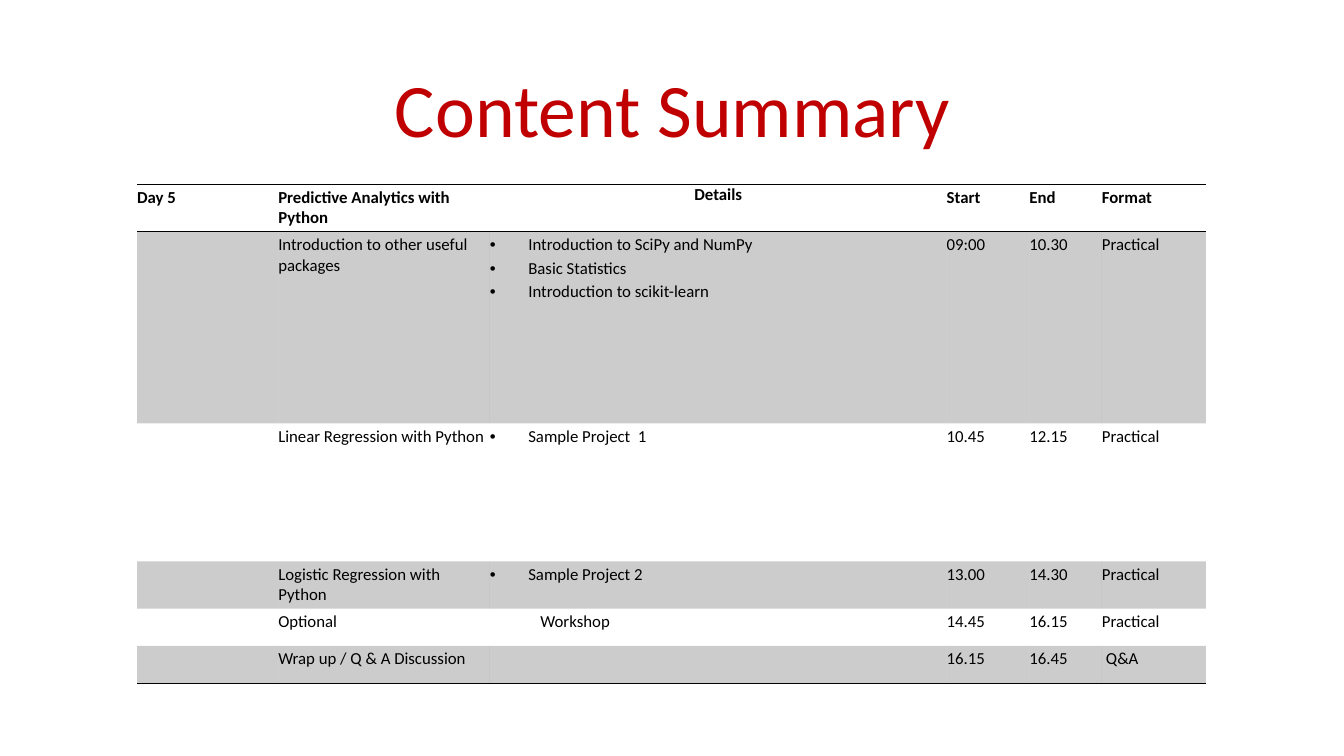
from pptx import Presentation
from pptx.dml.color import RGBColor
from pptx.enum.text import MSO_ANCHOR as Anchor, PP_ALIGN as Align
from pptx.oxml import parse_xml
from pptx.oxml.ns import nsdecls, qn
from pptx.util import Inches, Pt

RED = RGBColor(0xC0, 0x00, 0x00)
BLACK = RGBColor(0x00, 0x00, 0x00)
NO_STYLE = "{2D5ABB26-0587-4C30-8999-92F81FD0307C}"
BAND_ALPHA = 20000
DETAILS_COLUMN = 2
TITLE_BOX = (0.92, 0.4, 11.5, 1.45)
AGENDA_BOX = (1.36, 1.83, 10.6, 4.95)
COLUMN_WIDTHS = (1.4, 2.1, 4.53, 0.82, 0.72, 1.03)
ROW_HEIGHTS = (0.47, 1.9, 1.37, 0.47, 0.37, 0.37)

TITLE_FONT = {"name": "Calibri", "size": Pt(54)}
BODY_FONT = {"name": "Calibri", "size": Pt(12), "bold": False}
HEAD_FONT = {**BODY_FONT, "bold": True}
PLAIN = {}
CENTRED = {"alignment": Align.CENTER}
DETAIL = {"line_spacing": 1.15}
BULLET_INDENT = {"marL": Inches(0.38), "indent": Inches(-0.38)}
WORKSHOP_INDENT = {"marL": Inches(0.5), "indent": 0}
QA_INDENT = {"marL": Inches(0.04), "indent": 0}

AGENDA = [
    ("Day\u00a05", "Predictive Analytics with Python", ["Details"],
     "Start", "End", "Format"),
    ("", "Introduction to other useful packages",
     ["Introduction to SciPy and NumPy", "Basic Statistics",
      "Introduction to scikit-learn"], "09:00", "10.30", "Practical"),
    ("", "Linear Regression with Python", ["Sample Project  1"],
     "10.45", "12.15", "Practical"),
    ("", "Logistic Regression with Python", ["Sample Project 2"],
     "13.00", "14.30", "Practical"),
    ("", "Optional", ["Workshop"], "14.45", "16.15", "Practical"),
    ("", "Wrap up / Q & A Discussion", [""], "16.15", "16.45", "Q&A"),
]


def apply_format(target, values):
    """Set each attribute named in values on the target."""
    for name, value in values.items():
        setattr(target, name, value)


def write(para, text, font, color, layout):
    """Fill a paragraph with one formatted span."""
    apply_format(para, layout)
    apply_format(para.font, font)
    if text:
        span = para.add_run()
        span.text = text
        apply_format(span.font, font)
        span.font.color.rgb = color


def indent(para, values, bullet=False):
    """Set the paragraph indents and an optional bullet."""
    properties = para._p.get_or_add_pPr()
    for name, value in values.items():
        properties.set(name, str(int(value)))
    if bullet:
        properties.append(parse_xml(f'<a:buFont {nsdecls("a")} typeface="Arial"/>'))
        properties.append(parse_xml(f'<a:buChar {nsdecls("a")} char="\u2022"/>'))


def shade(cell):
    """Give a cell the translucent black band."""
    cell.fill.solid()
    cell.fill.fore_color.rgb = BLACK
    color = cell._tc.tcPr.find(qn("a:solidFill"))[0]
    color.append(parse_xml(f'<a:alpha {nsdecls("a")} val="{BAND_ALPHA}"/>'))


def rule(cell, sides):
    """Draw one-point black borders on the sides, top before bottom."""
    for position, side in enumerate(sides):
        cell._tc.get_or_add_tcPr().insert(position, parse_xml(
            f'<a:ln{side} {nsdecls("a")} w="{Pt(1)}"><a:solidFill>'
            f'<a:srgbClr val="{BLACK}"/></a:solidFill></a:ln{side}>'))


def write_details(cell, items, is_head):
    """Write the details cell as a heading, bullets or an indented line."""
    frame = cell.text_frame
    for number, item in enumerate(items):
        para = frame.add_paragraph() if number else frame.paragraphs[0]
        if is_head:
            write(para, item, HEAD_FONT, BLACK, CENTRED)
            continue
        write(para, item, BODY_FONT, BLACK, DETAIL)
        if item == "Workshop":
            indent(para, WORKSHOP_INDENT)
        elif item:
            indent(para, BULLET_INDENT, bullet=True)


def add_title(page, box):
    """Place the centred slide title in the box."""
    frame = page.shapes.add_textbox(*map(Inches, box)).text_frame
    apply_format(frame, {"word_wrap": True, "vertical_anchor": Anchor.MIDDLE})
    write(frame.paragraphs[0], "Content Summary", TITLE_FONT, RED,
          {**CENTRED, "line_spacing": 0.9})


def add_agenda(page, box):
    """Place the banded timetable in the box."""
    table = page.shapes.add_table(
        len(AGENDA), len(COLUMN_WIDTHS), *map(Inches, box)).table
    apply_format(table, {"first_row": False, "horz_banding": False})
    table._tbl.tblPr.find(qn("a:tableStyleId")).text = NO_STYLE
    for column, width in zip(table.columns, COLUMN_WIDTHS):
        column.width = Inches(width)
    for row, height in zip(table.rows, ROW_HEIGHTS):
        row.height = Inches(height)
    for row_index, entries in enumerate(AGENDA):
        is_head = row_index == 0
        for column_index, entry in enumerate(entries):
            cell = table.cell(row_index, column_index)
            is_details = column_index == DETAILS_COLUMN
            inset = Inches(0 if is_details else 0.03)
            apply_format(cell, {"margin_left": 0, "margin_right": 0,
                                "margin_top": inset, "margin_bottom": inset})
            if is_details:
                write_details(cell, entry, is_head)
            else:
                para = cell.text_frame.paragraphs[0]
                write(para, entry, HEAD_FONT if is_head else BODY_FONT, BLACK, PLAIN)
                if entry == "Q&A":
                    indent(para, QA_INDENT)
            if row_index % 2:
                shade(cell)
            else:
                cell.fill.background()
            if is_head:
                rule(cell, "TB")
            elif row_index == len(AGENDA) - 1:
                rule(cell, "B")


def build_deck():
    """Build and save the one-slide deck."""
    deck = Presentation()
    apply_format(deck, {"slide_width": Inches(13.33), "slide_height": Inches(7.5)})
    page = deck.slides.add_slide(deck.slide_layouts[6])
    add_title(page, TITLE_BOX)
    add_agenda(page, AGENDA_BOX)
    deck.save("out.pptx")


build_deck()
